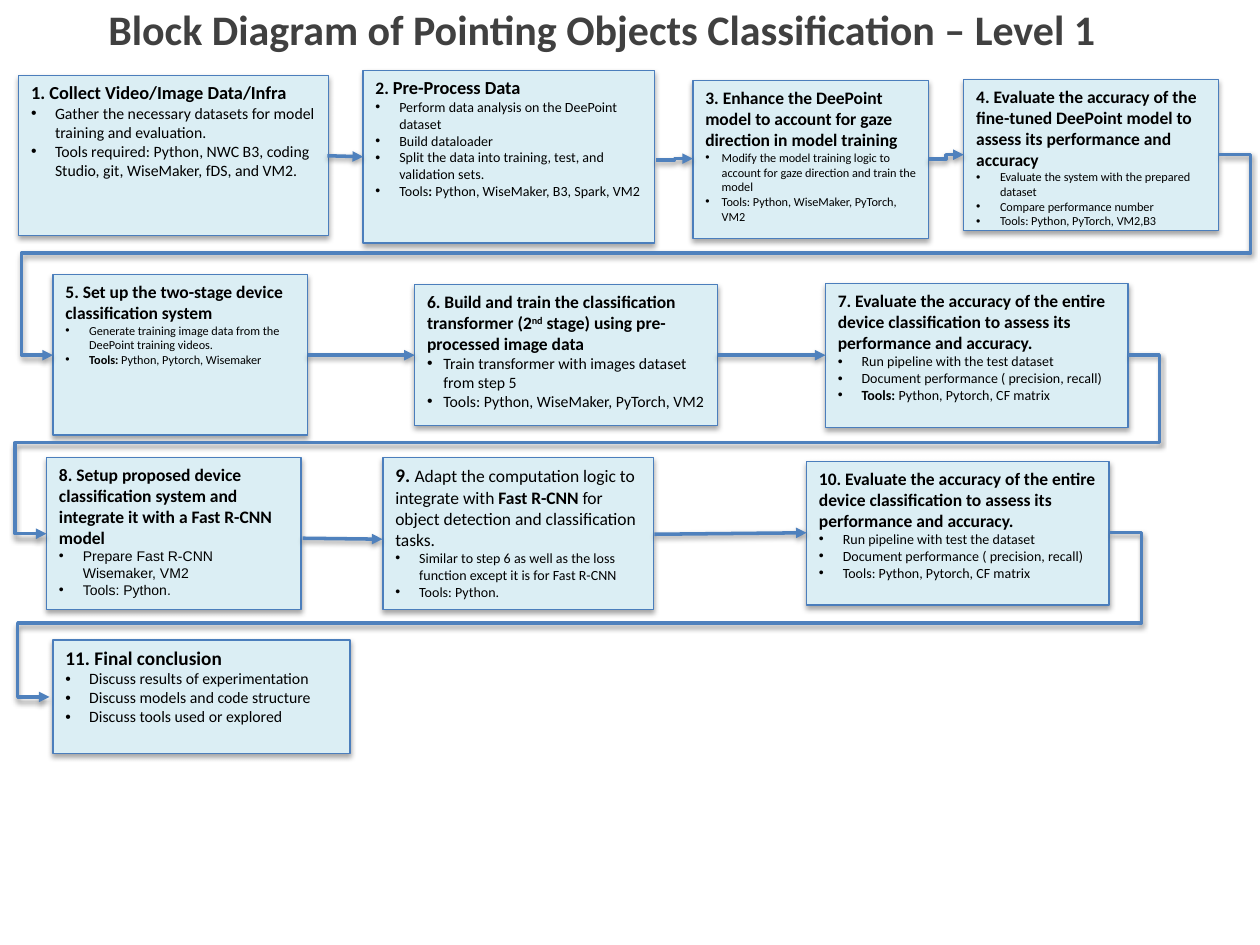
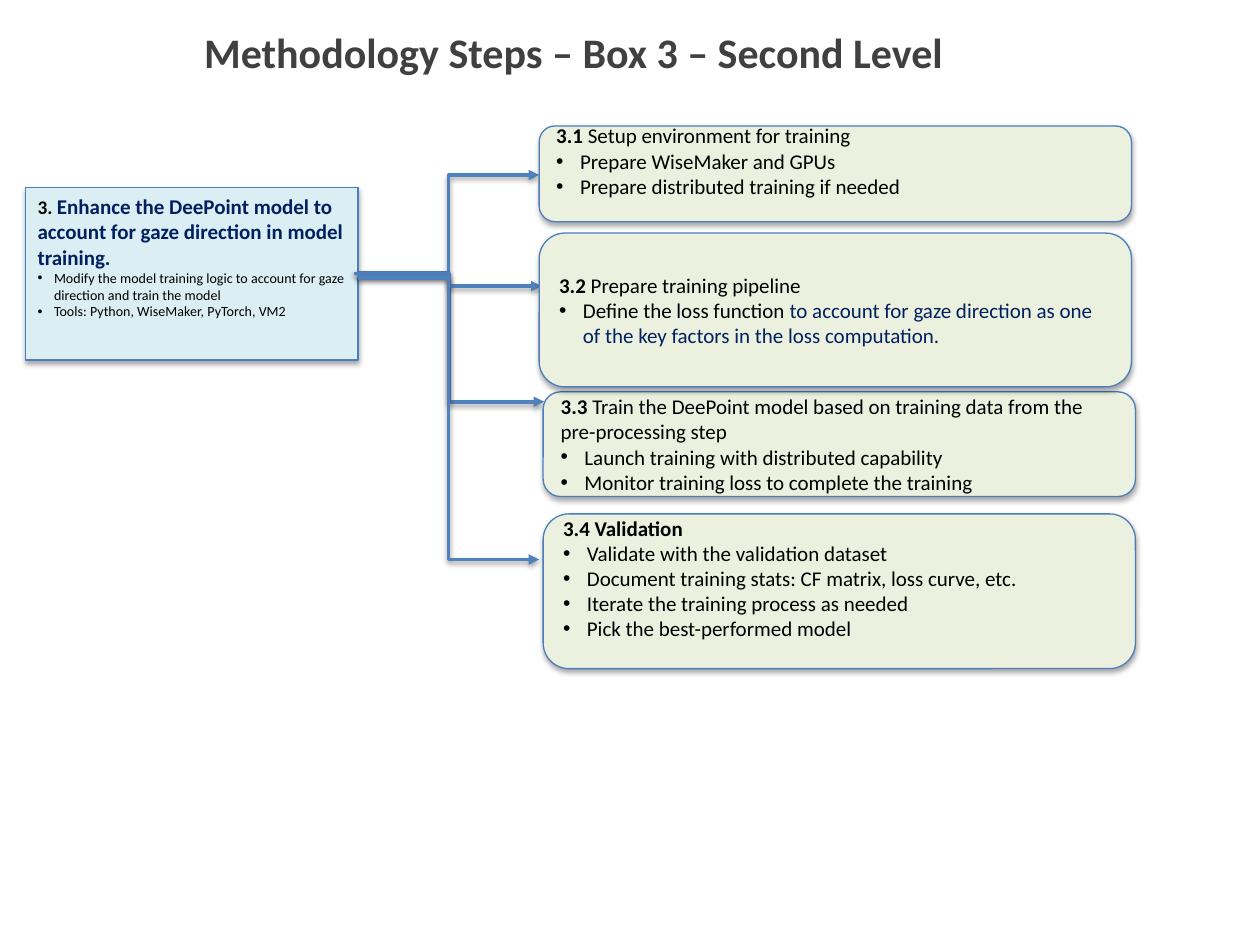
"""Build the two block diagram slides on pointing object classification."""
from dataclasses import dataclass
from typing import Optional

from pptx import Presentation
from pptx.dml.color import RGBColor
from pptx.enum.shapes import MSO_CONNECTOR, MSO_SHAPE
from pptx.enum.text import MSO_ANCHOR, MSO_AUTO_SIZE, PP_ALIGN
from pptx.oxml import parse_xml
from pptx.oxml.ns import nsdecls, qn
from pptx.util import Cm, Pt

LEFT = PP_ALIGN.LEFT
TOP = MSO_ANCHOR.TOP
MIDDLE = MSO_ANCHOR.MIDDLE
NO_AUTOFIT = MSO_AUTO_SIZE.NONE
RECTANGLE = MSO_SHAPE.RECTANGLE
ROUNDED = MSO_SHAPE.ROUNDED_RECTANGLE
STRAIGHT = MSO_CONNECTOR.STRAIGHT
ELBOW = MSO_CONNECTOR.ELBOW
TITLE_ONLY = 5


@dataclass(frozen=True)
class Theme:
    """Colours, fonts, type sizes and line widths of the deck."""
    font: str = "Calibri"
    alternate_font: str = "Arial"
    title_color: str = "404040"
    text: str = "000000"
    navy: str = "002060"
    block_fill: str = "DBEEF4"
    step_fill: str = "EBF1DE"
    outline: str = "4B7EBC"
    arrow: str = "4F81BD"
    tiny: float = 7
    small: float = 8
    body: float = 9
    heading: float = 10
    heading_wide: float = 10.5
    large: float = 11
    step: float = 12
    title: float = 24
    outline_width: float = 0.75
    arrow_width: float = 2


THEME = Theme()
WIDE_INDENT = 0.48
NARROW_INDENT = 0.33
INSET = 0.13
EXTRA_LINE = 0.52
WRAP_MARGIN = 0.64


@dataclass(frozen=True)
class Span:
    """A piece of text that departs from its paragraph's style."""
    text: str
    bold: Optional[bool] = None
    size: Optional[float] = None
    color: str = THEME.text
    superscript: bool = False


@dataclass(frozen=True)
class Block:
    """A box with a heading and bullets, measured in centimetres."""
    left: float
    top: float
    width: float
    height: float
    heading: tuple
    items: tuple
    body_size: float = THEME.small
    heading_size: float = THEME.heading
    indent: float = WIDE_INDENT
    body_font: str = THEME.font
    is_step: bool = False
    bottom_inset: float = INSET


@dataclass(frozen=True)
class Arrow:
    """An arrow; a lane makes it wrap round to the next row."""
    start: tuple
    end: tuple
    kind: int = STRAIGHT
    lane: Optional[float] = None


def step(left: float, top: float, height: float, heading: tuple, items: tuple,
         bottom_inset: float = INSET) -> Block:
    """Describe a rounded second-level step."""
    return Block(left, top, 11.94, height, heading, items, THEME.step, THEME.step,
                 is_step=True, bottom_inset=bottom_inset)


EVALUATE = "Evaluate the accuracy of the entire device classification to assess its performance and accuracy."
GAZE_LOGIC = "Modify the model training logic to account for gaze direction and train the model"
GAZE_TOOLS = "Tools: Python, WiseMaker, PyTorch, VM2"
PERFORMANCE = "Document performance ( precision, recall)"

OVERVIEW_BLOCKS = (
    Block(0.38, 1.52, 6.25, 3.23, ("1. Collect Video/Image Data/Infra",),
          ("Gather the necessary datasets for model training and evaluation.",
           "Tools required: Python, NWC B3, coding Studio, git, WiseMaker, fDS, and VM2."),
          THEME.body, THEME.heading_wide),
    Block(7.32, 1.42, 5.87, 3.48,
          ("2. ", Span("Pre-Process Data", size=THEME.heading_wide)),
          ("Perform data analysis on the DeePoint dataset",
           "Build dataloader",
           "Split the data into training, test, and validation sets.",
           ("Tools", Span(":", bold=True), " Python, WiseMaker, B3, Spark, VM2"))),
    Block(13.97, 1.63, 4.75, 3.18,
          ("3. Enhance the DeePoint model to account for gaze direction in model training",),
          (GAZE_LOGIC, GAZE_TOOLS), THEME.tiny, indent=NARROW_INDENT),
    Block(19.43, 1.6, 5.13, 3.05,
          ("4. Evaluate the accuracy of the fine-tuned DeePoint model to assess its "
           "performance and accuracy",),
          ("Evaluate the system with the prepared dataset",
           "Compare performance number",
           "Tools: Python, PyTorch, VM2,B3"), THEME.tiny),
    Block(1.07, 5.54, 5.13, 3.23, ("5. Set up the two-stage device classification system",),
          ("Generate training image data from the DeePoint training videos.",
           (Span("Tools:", bold=True), " Python, Pytorch, Wisemaker")), THEME.tiny),
    Block(8.36, 5.74, 6.1, 2.84,
          ("6. Build and train the classification transformer (2",
           Span("nd", superscript=True), " stage) using pre-processed image data"),
          ("Train transformer with images dataset from step 5", GAZE_TOOLS),
          THEME.body, indent=NARROW_INDENT),
    Block(16.64, 5.72, 6.1, 2.9, (f"7. {EVALUATE}",),
          ("Run pipeline with the test dataset", PERFORMANCE,
           (Span("Tools:", bold=True), " Python, Pytorch, CF matrix"))),
    Block(0.94, 9.22, 5.13, 3.07,
          ("8. Setup proposed device classification system and integrate it with "
           "a Fast R-CNN model",),
          ("Prepare Fast R-CNN Wisemaker, VM2", "Tools: Python."),
          body_font=THEME.alternate_font),
    Block(7.72, 9.22, 5.46, 3.07,
          (Span("9. ", size=THEME.large),
           Span("Adapt the computation logic to integrate with ", bold=False),
           "Fast R-CNN ",
           Span("for object detection and classification tasks.", bold=False)),
          ("Similar to step 6 as well as the loss function except it is for Fast R-CNN",
           "Tools: Python.")),
    Block(16.26, 9.3, 6.1, 2.9, (f"10. {EVALUATE}",),
          ("Run pipeline with test the dataset", PERFORMANCE,
           "Tools: Python, Pytorch, CF matrix")),
    Block(1.07, 12.9, 5.99, 2.29, ("11. Final conclusion",),
          ("Discuss results of experimentation",
           "Discuss models and code structure",
           "Discuss tools used or explored"), THEME.body, THEME.large),
)
OVERVIEW_ARROWS = (
    Arrow((6.6, 3.14), (7.32, 3.16)),
    Arrow((13.23, 3.23), (13.97, 3.2), ELBOW),
    Arrow((18.72, 3.21), (19.43, 3.12), ELBOW),
    Arrow((24.58, 3.12), (1.07, 7.16), ELBOW, 0.49),
    Arrow((6.2, 7.16), (8.36, 7.16)),
    Arrow((14.47, 7.16), (16.64, 7.16)),
    Arrow((22.74, 7.16), (0.94, 10.76), ELBOW, 0.49),
    Arrow((6.1, 10.85), (7.71, 10.87)),
    Arrow((13.19, 10.77), (16.26, 10.74)),
    Arrow((22.37, 10.74), (1, 14.05), ELBOW, 0.55),
)

GAZE_BLOCK = Block(
    0.51, 3.78, 6.71, 3.48,
    (Span("3. ", size=THEME.large),
     Span("Enhance the DeePoint model to account for gaze direction in model training.",
          color=THEME.navy)),
    (GAZE_LOGIC, GAZE_TOOLS), THEME.small, THEME.step, NARROW_INDENT)
GAZE_STEPS = (
    step(10.87, 2.54, 1.93, ("3.1 ", Span("Setup environment for training", bold=False)),
         ("Prepare WiseMaker and GPUs", "Prepare distributed training if needed"),
         INSET + EXTRA_LINE),
    step(10.95, 7.9, 2.11,
         ("3.3 ", Span("Train the DeePoint model based on training data from the "
                       "pre-processing step", bold=False)),
         ("Launch training with distributed capability",
          "Monitor training loss to complete the training")),
    step(10.87, 4.7, 3.1, ("3.2 ", Span("Prepare training pipeline", bold=False)),
         (("Define the loss function ",
           Span("to account for gaze direction as one of the key factors in the loss "
                "computation.", color=THEME.navy)),)),
    step(10.95, 10.36, 3.12, ("3.4 Validation",),
         ("Validate with the validation dataset",
          "Document training stats: CF matrix, loss curve, etc.",
          "Iterate the training process as needed",
          "Pick the best-performed model"), INSET + EXTRA_LINE),
)
GAZE_ARROWS = (
    Arrow((7.21, 5.51), (10.87, 3.53), ELBOW),
    Arrow((7.14, 5.51), (10.97, 8.1), ELBOW),
    Arrow((7.19, 5.56), (10.92, 5.77), ELBOW),
    Arrow((7.21, 5.61), (10.87, 11.28), ELBOW),
)


def add_shadow(effects, opacity: int, distance: float) -> None:
    """Put a soft downward shadow into an effect list."""
    effects.append(parse_xml(
        f'<a:outerShdw {nsdecls("a")} blurRad="{Pt(3.1)}" dist="{Pt(distance)}" '
        f'dir="5400000" rotWithShape="0"><a:srgbClr val="000000">'
        f'<a:alpha val="{opacity * 1000}"/></a:srgbClr></a:outerShdw>'))


def add_spans(paragraph, spans: tuple, size: float, bold: bool, font: str) -> None:
    """Write spans into a paragraph, filling in its default style."""
    paragraph.alignment = LEFT
    for item in spans:
        span = item if isinstance(item, Span) else Span(item)
        run = paragraph.add_run()
        run.text = span.text
        run.font.name = font
        run.font.size = Pt(span.size or size)
        run.font.bold = bold if span.bold is None else span.bold
        run.font.color.rgb = RGBColor.from_string(span.color)
        if span.superscript:
            run._r.get_or_add_rPr().set("baseline", "30000")


def add_bullet(paragraph, indent: float) -> None:
    """Give a paragraph a hanging round bullet."""
    properties = paragraph._p.get_or_add_pPr()
    properties.set("marL", str(Cm(indent)))
    properties.set("indent", str(-Cm(indent)))
    properties.append(parse_xml(f'<a:buFont {nsdecls("a")} typeface="Arial"/>'))
    properties.append(parse_xml(f'<a:buChar {nsdecls("a")} char="•"/>'))


def draw_block(slide, block: Block) -> None:
    """Draw one box with its heading and bullets."""
    shape = slide.shapes.add_shape(
        ROUNDED if block.is_step else RECTANGLE,
        Cm(block.left), Cm(block.top), Cm(block.width), Cm(block.height))
    fill = THEME.step_fill if block.is_step else THEME.block_fill
    shape.fill.solid()
    shape.fill.fore_color.rgb = RGBColor.from_string(fill)
    shape.line.color.rgb = RGBColor.from_string(THEME.outline)
    shape.line.width = Pt(THEME.outline_width)
    shape.shadow.inherit = False
    add_shadow(shape._element.spPr.find(qn("a:effectLst")), 35, 1.8)
    frame = shape.text_frame
    frame.word_wrap = True
    frame.vertical_anchor = MIDDLE if block.is_step else TOP
    frame.margin_bottom = Cm(block.bottom_inset)
    add_spans(frame.paragraphs[0], block.heading, block.heading_size, True, THEME.font)
    for item in block.items:
        paragraph = frame.add_paragraph()
        add_bullet(paragraph, block.indent)
        spans = item if isinstance(item, tuple) else (item,)
        add_spans(paragraph, spans, block.body_size, False, block.body_font)


def draw_arrow(slide, arrow: Arrow) -> None:
    """Draw one connector with an arrowhead at its end."""
    points = [Cm(value) for value in (*arrow.start, *arrow.end)]
    connector = slide.shapes.add_connector(arrow.kind, *points)
    connector.line.color.rgb = RGBColor.from_string(THEME.arrow)
    connector.line.width = Pt(THEME.arrow_width)
    properties = connector._element.spPr
    properties.find(qn("a:ln")).append(
        parse_xml(f'<a:tailEnd {nsdecls("a")} type="triangle"/>'))
    effects = parse_xml(f'<a:effectLst {nsdecls("a")}/>')
    properties.append(effects)
    add_shadow(effects, 38, 1.6)
    if arrow.lane is not None:
        overshoot = WRAP_MARGIN / abs(arrow.start[0] - arrow.end[0])
        geometry = properties.find(qn("a:prstGeom"))
        geometry.set("prst", "bentConnector5")
        guides = geometry.find(qn("a:avLst"))
        for number, ratio in enumerate((-overshoot, arrow.lane, 1 + overshoot), 1):
            guides.append(parse_xml(
                f'<a:gd {nsdecls("a")} name="adj{number}" fmla="val {round(ratio * 100000)}"/>'))


def add_titled_slide(presentation, text: str, left: float, top: float, height: float):
    """Add a slide with its title placed and formatted."""
    slide = presentation.slides.add_slide(presentation.slide_layouts[TITLE_ONLY])
    title = slide.shapes.title
    title.left, title.top = Cm(left), Cm(top)
    title.width, title.height = Cm(21.54), Cm(height)
    frame = title.text_frame
    frame.text = text
    frame.word_wrap = True
    frame.auto_size = NO_AUTOFIT
    frame.vertical_anchor = TOP
    paragraph = frame.paragraphs[0]
    paragraph.alignment = LEFT
    font = paragraph.runs[0].font
    font.name, font.size, font.bold = THEME.font, Pt(THEME.title), True
    font.color.rgb = RGBColor.from_string(THEME.title_color)
    return slide


def main() -> None:
    """Build and save the presentation."""
    presentation = Presentation()
    presentation.slide_width, presentation.slide_height = Cm(25.4), Cm(19.05)
    overview = add_titled_slide(
        presentation, "Block Diagram of Pointing Objects Classification – Level 1",
        1.93, -0.05, 1.47)
    for block in OVERVIEW_BLOCKS:
        draw_block(overview, block)
    for arrow in OVERVIEW_ARROWS:
        draw_arrow(overview, arrow)
    detail = add_titled_slide(
        presentation, "Methodology Steps – Box 3 – Second Level", 3.86, 0.41, 2.06)
    draw_block(detail, GAZE_BLOCK)
    for arrow in GAZE_ARROWS:
        draw_arrow(detail, arrow)
    for block in GAZE_STEPS:
        draw_block(detail, block)
    presentation.save("out.pptx")


if __name__ == "__main__":
    main()
